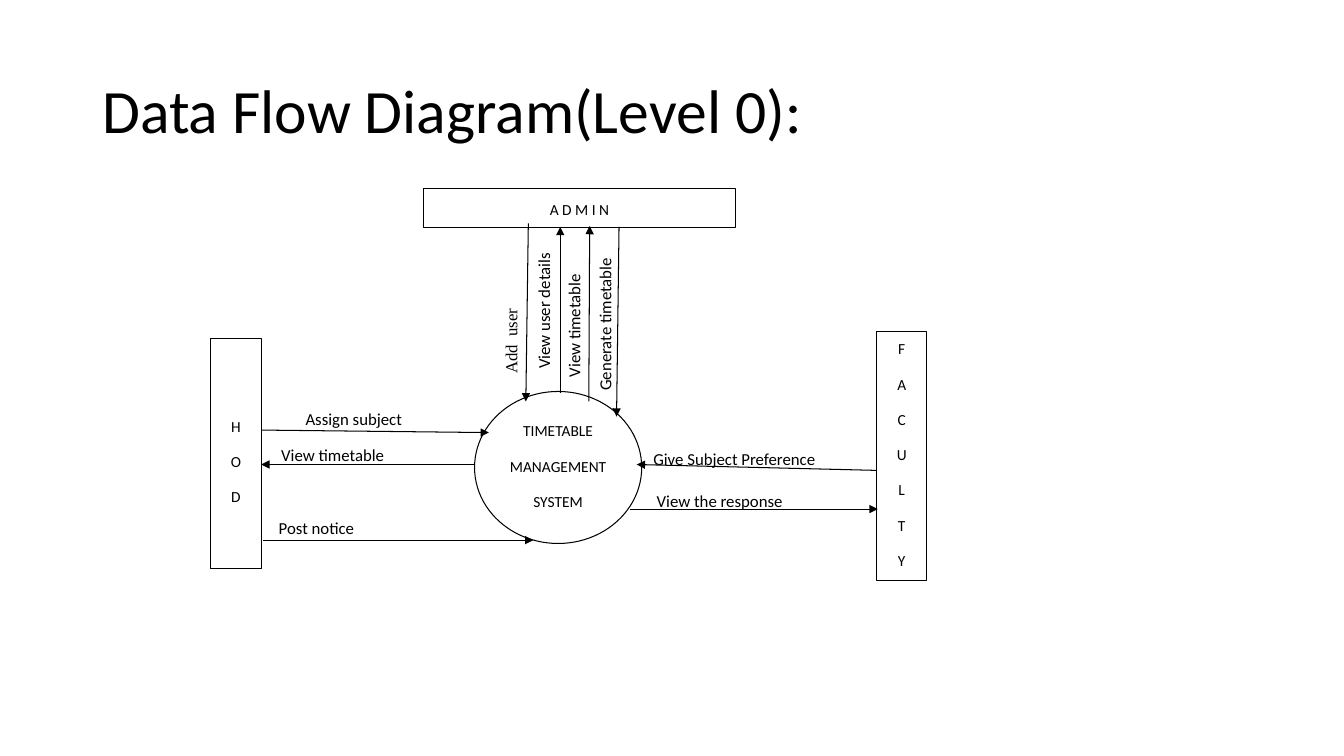
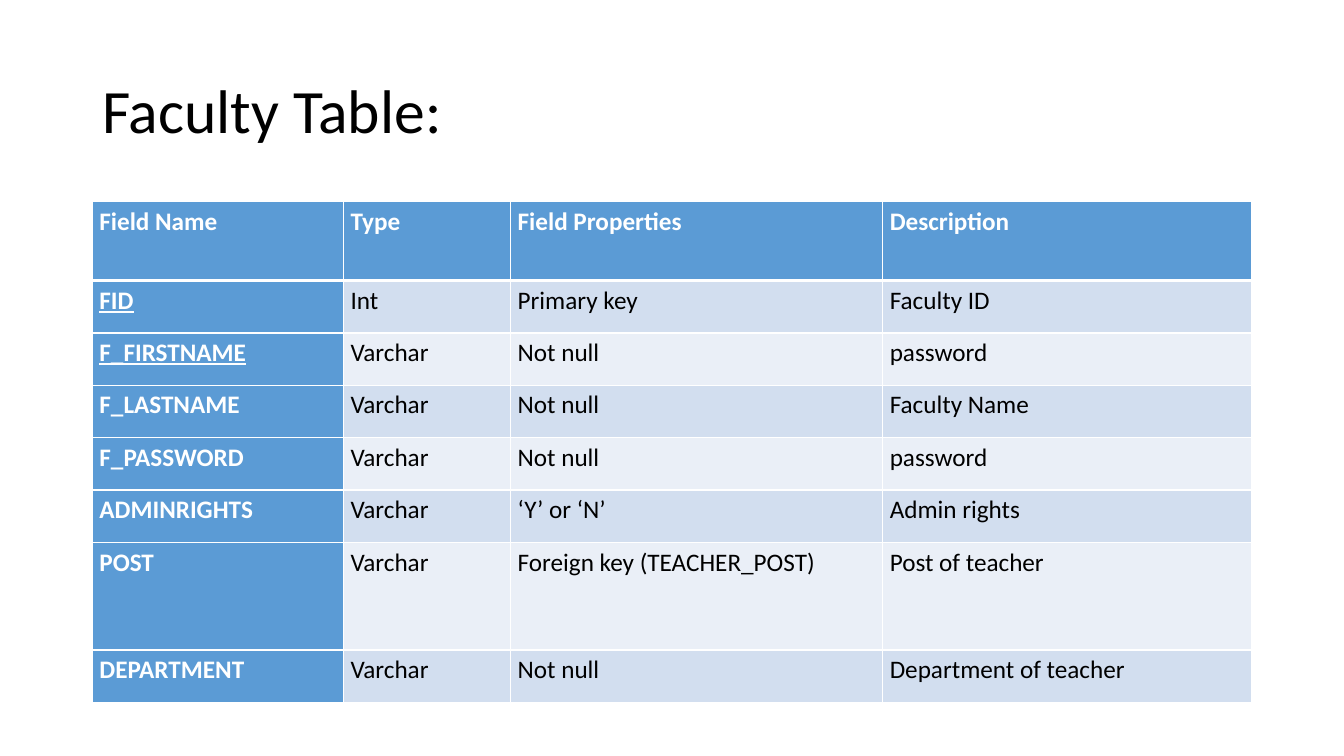
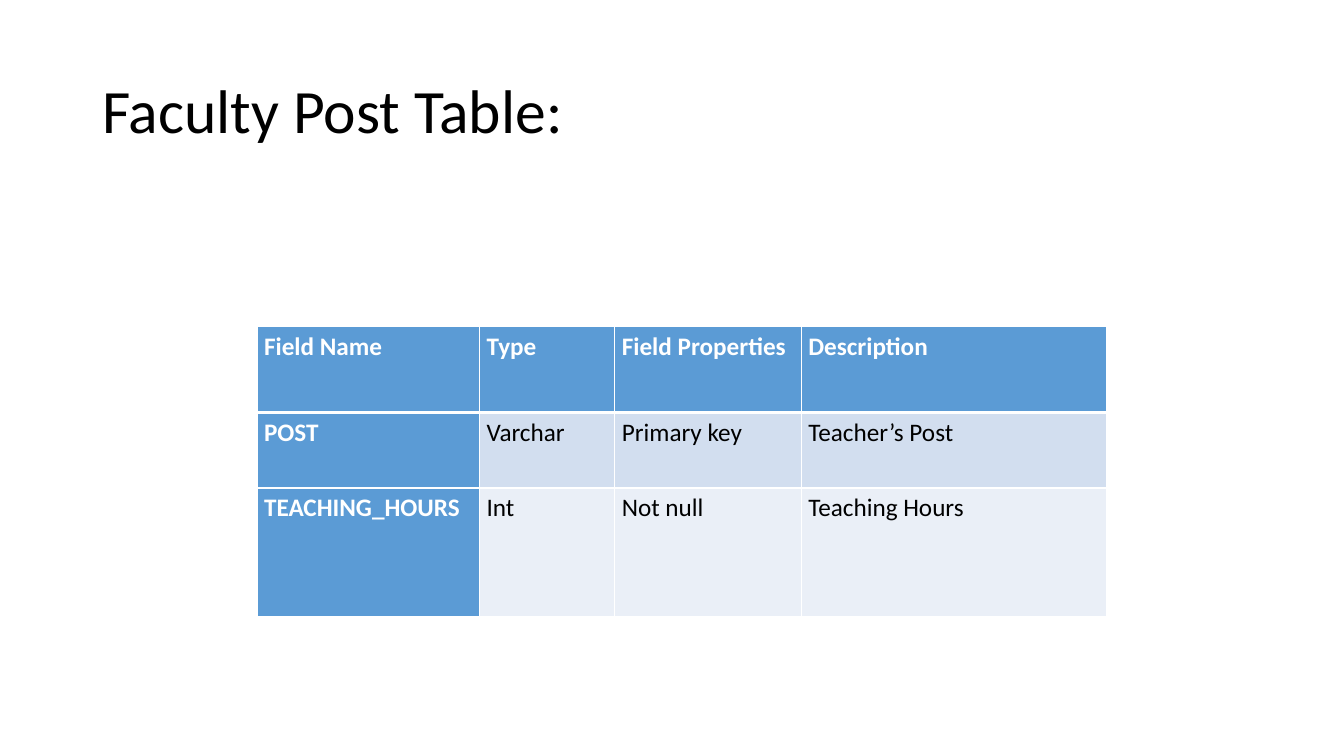
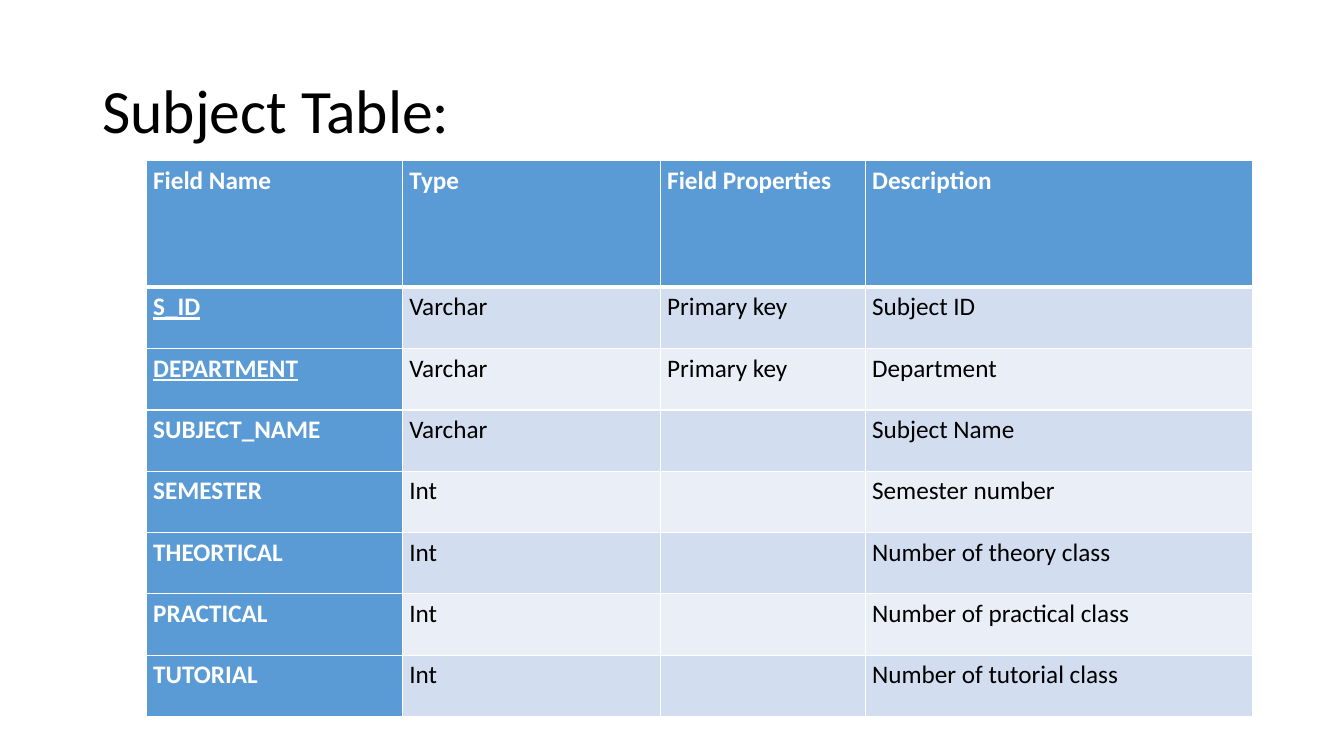
from pptx import Presentation
from pptx import util as u
from pptx.dml.color import RGBColor
from pptx.enum import shapes, text
from pptx.oxml import parse_xml
from pptx.oxml.ns import nsdecls, qn
from lxml import etree

BLACK = RGBColor(0x00, 0x00, 0x00)
WHITE = RGBColor(0xFF, 0xFF, 0xFF)
BLUE = RGBColor(0x5B, 0x9B, 0xD5)
BANDS = (RGBColor(0xD2, 0xDE, 0xEF), RGBColor(0xEA, 0xEF, 0xF7))
FONT = "Calibri"
SERIF = "Times New Roman"
HEADINGS = ("Field Name", "Type", "Field Properties", "Description")

# The slide is a grid of 160 square columns by 90 rows.
COLUMNS, ROWS = 160, 90
UNIT = u.Inches(7.5) / ROWS


def grid(*lengths):
    return [u.Emu(round(length * UNIT)) for length in lengths]


def write(paragraph, words, size, color=BLACK, font=FONT, bold=False, underline=False):
    run = paragraph.add_run()
    run.text = words
    run.font.name = font
    run.font.size = u.Pt(size)
    run.font.color.rgb = color
    run.font.bold = bold
    run.font.underline = underline


def add_slide(presentation, title):
    slide = presentation.slides.add_slide(presentation.slide_layouts[6])
    box = slide.shapes.add_textbox(*grid(11, 4.8, 138, 17.4))
    frame = box.text_frame
    frame.word_wrap = True
    frame.vertical_anchor = text.MSO_ANCHOR.MIDDLE
    frame.paragraphs[0].line_spacing = 0.9
    write(frame.paragraphs[0], title, 44)
    return slide


def add_node(slide, kind, place, lines, anchor=text.MSO_ANCHOR.TOP, top_margin=0.6):
    """Outlined shape with one centred paragraph for each line."""
    shape = slide.shapes.add_shape(kind, *grid(*place))
    shape.shadow.inherit = False
    shape.fill.solid()
    shape.fill.fore_color.rgb = WHITE
    shape.line.color.rgb = BLACK
    shape.line.width = u.Pt(0.75)
    frame = shape.text_frame
    frame.word_wrap = False
    frame.vertical_anchor = anchor
    frame.margin_top = grid(top_margin)[0]
    for index, line in enumerate(lines):
        paragraph = frame.add_paragraph() if index else frame.paragraphs[0]
        paragraph.alignment = text.PP_ALIGN.CENTER
        paragraph.line_spacing = 1.15
        paragraph.space_after = u.Pt(10)
        write(paragraph, line, 11)


def add_label(slide, words, place, font=FONT, upward=False):
    frame = slide.shapes.add_textbox(*grid(*place)).text_frame
    frame.word_wrap = True
    if upward:
        frame._txBody.bodyPr.set("vert", "vert270")
    write(frame.paragraphs[0], words, 12, font=font)


def add_arrow(slide, start, end):
    arrow = slide.shapes.add_connector(
        shapes.MSO_CONNECTOR.STRAIGHT, *grid(*start, *end))
    arrow.line.color.rgb = BLACK
    arrow.line.width = u.Pt(0.75)
    etree.SubElement(arrow.line._get_or_add_ln(), qn("a:tailEnd"), type="triangle")
    etree.SubElement(arrow._element.spPr, qn("a:effectLst"))


def set_borders(cell, top, bottom):
    """White borders; top and bottom are widths in points."""
    properties = cell._tc.get_or_add_tcPr()
    for side, width in (("L", 1), ("R", 1), ("T", top), ("B", bottom)):
        properties.append(parse_xml(
            f'<a:ln{side} {nsdecls("a")} w="{u.Pt(width)}"><a:solidFill>'
            f'<a:srgbClr val="{WHITE}"/></a:solidFill></a:ln{side}>'))


def add_field_table(slide, corner, widths, heights, records, keys=()):
    """Table of database fields; the names in keys are underlined."""
    rows = [HEADINGS, *records]
    table = slide.shapes.add_table(
        len(rows), len(widths), *grid(*corner, sum(widths), sum(heights))).table
    table.first_col = True
    for column, width in zip(table.columns, grid(*widths)):
        column.width = width
    for row, height in zip(table.rows, grid(*heights)):
        row.height = height
    for row_index, row in enumerate(rows):
        for column_index, words in enumerate(row):
            cell = table.cell(row_index, column_index)
            heading = row_index == 0 or column_index == 0
            set_borders(cell, 3 if row_index == 1 else 1, 3 if row_index == 0 else 1)
            cell.fill.solid()
            cell.fill.fore_color.rgb = BLUE if heading else BANDS[(row_index - 1) % 2]
            cell.margin_left = cell.margin_right = u.Inches(0.07)
            cell.margin_top = cell.margin_bottom = 0
            if words:
                paragraph = cell.text_frame.paragraphs[0]
                paragraph.line_spacing = 1.15
                write(paragraph, words, 18, WHITE if heading else BLACK, bold=heading,
                      underline=column_index == 0 and words in keys)


def add_data_flow(presentation):
    slide = add_slide(presentation, "Data Flow Diagram(Level 0):")
    rectangle = shapes.MSO_SHAPE.RECTANGLE
    add_node(slide, shapes.MSO_SHAPE.OVAL, (56.5, 46.6, 19.9, 18.1),
             ("TIMETABLE", "MANAGEMENT", "SYSTEM"))
    add_node(slide, rectangle, (50.4, 22.4, 37.2, 4.7), ("A D M I N",),
             text.MSO_ANCHOR.MIDDLE)
    add_node(slide, rectangle, (104.4, 39.5, 5.9, 29.6), "FACULTY")
    add_node(slide, rectangle, (25.1, 40.3, 6, 27.4), "HOD", top_margin=9)

    for words, place in (
        ("Give Subject Preference", (76.6, 52.8, 23.8, 3.6)),
        ("View the response", (77, 57.8, 21.5, 3.6)),
        ("Assign subject", (35.2, 48.1, 16.6, 3.6)),
        ("View timetable", (32.3, 52.3, 20.6, 3.6)),
        ("Post notice", (32, 61.1, 30.1, 3.4)),
    ):
        add_label(slide, words, place)
    for words, place, font in (
        ("Add  user", (59, 29.5, 4.3, 16.2), SERIF),
        ("View user details", (62.9, 27.5, 5.2, 17.6), FONT),
        ("View timetable", (66.5, 24.6, 5.2, 21.5), FONT),
        ("Generate timetable", (70.2, 26, 6.2, 21.7), FONT),
    ):
        add_label(slide, words, place, font, upward=True)

    for start, end in (
        ((104.4, 56), (75.8, 55.3)),
        ((75, 60.6), (104.5, 60.6)),
        ((31.1, 51.2), (58.2, 51.5)),
        ((56.6, 55.3), (31.1, 55.3)),
        ((31.3, 64.3), (63.5, 64.3)),
        ((62.9, 26.6), (62.6, 47.8)),
        ((66.7, 46.8), (66.7, 27)),
        ((70.1, 47.8), (70.2, 26.9)),
        ((73.7, 27), (73.4, 49.6)),
    ):
        add_arrow(slide, start, end)


def main():
    presentation = Presentation()
    presentation.slide_width, presentation.slide_height = grid(COLUMNS, ROWS)

    add_data_flow(presentation)

    add_field_table(
        add_slide(presentation, "Faculty Table:"), (11, 24),
        (29.9, 19.9, 44.3, 43.9), [9.4] + [6.24] * 5 + [12.8, 6.24],
        (
            ("FID", "Int", "Primary key", "Faculty ID"),
            ("F_FIRSTNAME", "Varchar", "Not null", "password"),
            ("F_LASTNAME", "Varchar", "Not null", "Faculty Name"),
            ("F_PASSWORD", "Varchar", "Not null", "password"),
            ("ADMINRIGHTS", "Varchar", "‘Y’ or ‘N’", "Admin rights"),
            ("POST", "Varchar", "Foreign key (TEACHER_POST)", "Post of teacher"),
            ("DEPARTMENT", "Varchar", "Not null", "Department of teacher"),
        ),
        keys=("FID", "F_FIRSTNAME"))

    add_field_table(
        add_slide(presentation, "Faculty Post Table:"), (30.6, 38.9),
        (26.5, 16.1, 22.2, 36.3), (10.2, 9, 15.3),
        (
            ("POST", "Varchar", "Primary key", "Teacher’s Post"),
            ("TEACHING_HOURS", "Int", "Not null", "Teaching Hours"),
        ))

    add_field_table(
        add_slide(presentation, "Subject Table:"), (17.4, 19.1),
        (30.5, 30.7, 24.4, 46.1), [15.1] + [7.3] * 7,
        (
            ("S_ID", "Varchar", "Primary key", "Subject ID"),
            ("DEPARTMENT", "Varchar", "Primary key", "Department"),
            ("SUBJECT_NAME", "Varchar", "", "Subject Name"),
            ("SEMESTER", "Int", "", "Semester number"),
            ("THEORTICAL", "Int", "", "Number of theory class"),
            ("PRACTICAL", "Int", "", "Number of practical class"),
            ("TUTORIAL", "Int", "", "Number of tutorial class"),
        ),
        keys=("S_ID", "DEPARTMENT"))

    presentation.save("out.pptx")


if __name__ == "__main__":
    main()
